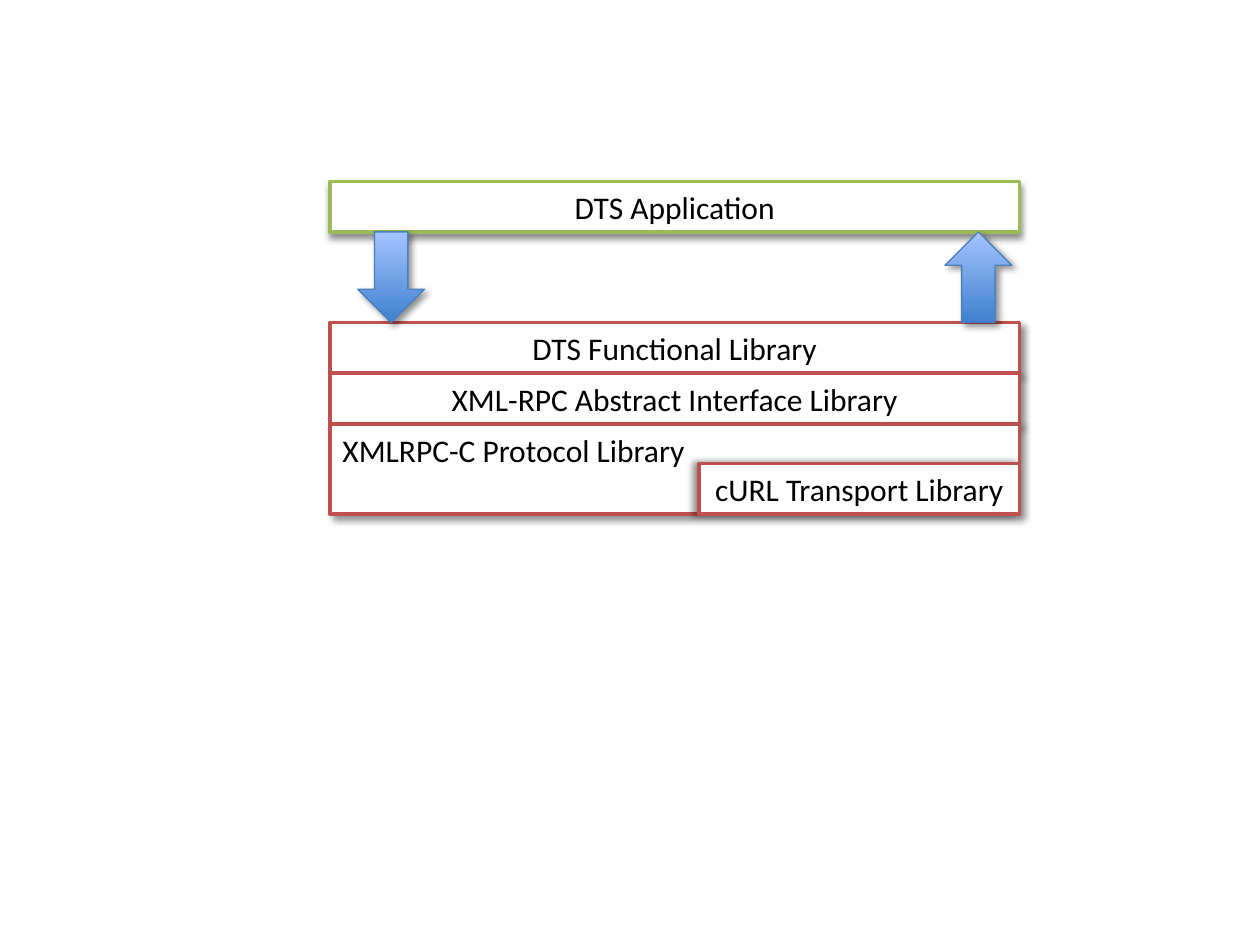
import pptx
import pptx.dml.color
import pptx.enum.shapes
import pptx.enum.text
import pptx.oxml
import pptx.oxml.ns
import pptx.util
from pptx.util import Inches

SHAPES = pptx.enum.shapes.MSO_SHAPE
ALIGN = pptx.enum.text.PP_ALIGN

COLORS = {
    "white": "FFFFFF", "black": "000000", "application": "9BBB59",
    "library": "C0504D", "arrow_edge": "4B7EBC",
    "arrow_dark": "3F80CE", "arrow_light": "A4C4FF",
}

# Content: text, left, top, width, height, edge, alignment, shadow direction
LEFT, WIDTH, ROW = 2.62, 5.47, 0.4
APP_TOP, STACK_TOP, STEP = 1.44, 2.56, 0.405
PROTOCOL_HEIGHT, TRANSPORT_WIDTH = 0.71, 2.54
protocol_top = STACK_TOP + 2 * STEP
transport_left = LEFT + WIDTH - TRANSPORT_WIDTH
transport_top = protocol_top + PROTOCOL_HEIGHT - ROW
LAYERS = [
    ("DTS Application", LEFT, APP_TOP, WIDTH, ROW, "application", ALIGN.CENTER, 90),
    ("DTS Functional Library", LEFT, STACK_TOP, WIDTH, ROW, "library", ALIGN.CENTER, 45),
    ("XML-RPC Abstract Interface Library", LEFT, STACK_TOP + STEP, WIDTH, ROW,
     "library", ALIGN.CENTER, 45),
    ("XMLRPC-C Protocol Library", LEFT, protocol_top, WIDTH, PROTOCOL_HEIGHT,
     "library", ALIGN.LEFT, 45),
    ("cURL Transport Library", transport_left, transport_top, TRANSPORT_WIDTH, ROW,
     "library", ALIGN.CENTER, 180),
]
ARROWS = [(SHAPES.DOWN_ARROW, 2.84), (SHAPES.UP_ARROW, 7.5)]
ARROW_WIDTH = 0.53


def color(name):
    return pptx.dml.color.RGBColor.from_string(COLORS[name])


def add_text(shape, text, size=18, font="Calibri", ink="black", align=ALIGN.CENTER):
    frame = shape.text_frame
    frame.word_wrap = True
    frame.vertical_anchor = pptx.enum.text.MSO_ANCHOR.TOP
    para = frame.paragraphs[0]
    para.alignment = align
    span = para.add_run()
    span.text = text
    span.font.size = pptx.util.Pt(size)
    span.font.name = font
    span.font.color.rgb = color(ink)


def add_shape(kind, left, top, width, height, edge, weight, direction):
    shape = page.shapes.add_shape(
        kind, Inches(left), Inches(top), Inches(width), Inches(height))
    shape.line.color.rgb = color(edge)
    shape.line.width = pptx.util.Pt(weight)
    # Soft shadow: 4 pt blur, 3 pt offset, 43 % black
    shape.shadow.inherit = False
    effects = shape._element.spPr.find(pptx.oxml.ns.qn("a:effectLst"))
    effects.append(pptx.oxml.parse_xml(
        f'<a:outerShdw {pptx.oxml.ns.nsdecls("a")} blurRad="{pptx.util.Pt(4)}" '
        f'dist="{pptx.util.Pt(3)}" dir="{direction * 60000}" algn="ctr" rotWithShape="0">'
        f'<a:srgbClr val="{COLORS["black"]}"><a:alpha val="43000"/></a:srgbClr>'
        '</a:outerShdw>'))
    return shape


deck = pptx.Presentation()
deck.slide_width, deck.slide_height = Inches(10), Inches(7.5)
page = deck.slides.add_slide(deck.slide_layouts[6])

# Software layers
for text, left, top, width, height, edge, align, direction in LAYERS:
    box = add_shape(SHAPES.RECTANGLE, left, top, width, height, edge, 2, direction)
    box.fill.solid()
    box.fill.fore_color.rgb = color("white")
    add_text(box, text, align=align)

# Arrows fill the gap between the application and the libraries
arrow_top = APP_TOP + ROW
for kind, left in ARROWS:
    arrow = add_shape(kind, left, arrow_top, ARROW_WIDTH, STACK_TOP - arrow_top,
                      "arrow_edge", 0.75, 45)
    arrow.fill.gradient()
    arrow.fill.gradient_angle = 90
    for stop, position, name in zip(arrow.fill.gradient_stops, (0, 1),
                                    ("arrow_dark", "arrow_light")):
        stop.position = position
        stop.color.rgb = color(name)

deck.save("out.pptx")
